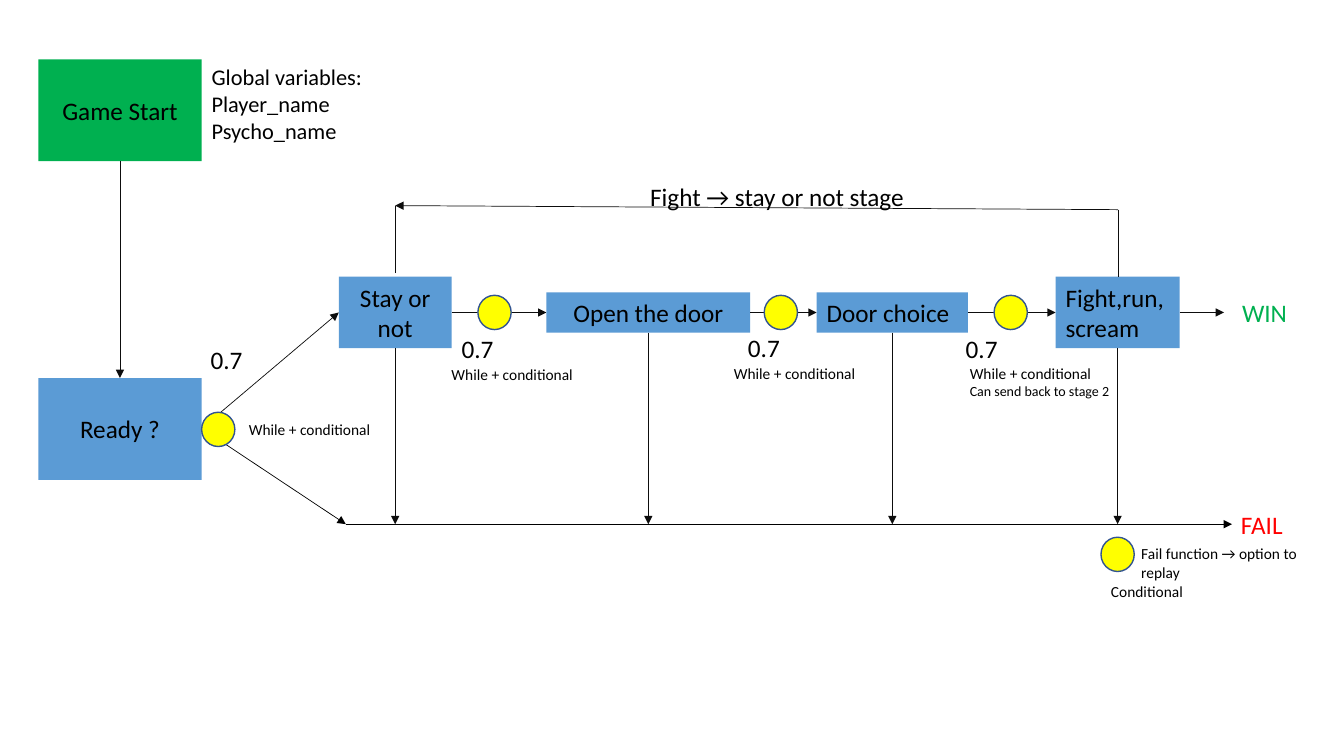
from lxml.etree import SubElement
from pptx import Presentation
from pptx.dml.color import RGBColor
from pptx.enum.shapes import MSO_CONNECTOR, MSO_SHAPE
from pptx.enum.text import MSO_ANCHOR, PP_ALIGN
from pptx.oxml.ns import qn
from pptx.util import Inches, Pt

GREEN, BLUE, YELLOW, RED = "00B050", "5B9BD5", "FFFF00", "FF0000"
BLACK, INK, NAVY = "000000", "0D0D0D", "325491"
MID, BASE = 3.1, 5.2
LEFT, CENTER = PP_ALIGN.LEFT, PP_ALIGN.CENTER

starts = [
    ("Game Start", 0.59, GREEN),
    ("Ready ?", 3.75, BLUE),
]
stages = [
    ("Stay or not", 3.36, 1.12, 0.71, CENTER),
    ("Open the door", 5.42, 2.02, 0.4, CENTER),
    ("Door choice", 8.1, 1.5, 0.4, LEFT),
    ("Fight,run,scream", 10.47, 1.23, 0.71, LEFT),
]
dots = [(2, 4.09), (4.74, 2.93), (7.58, 2.93), (9.86, 2.93), (10.92, 5.33)]
odds = [(1.99, 3.37), (4.48, 3.26), (7.32, 3.25), (9.48, 3.26)]
loops = [(2.37, 4.12), (4.38, 3.57), (7.18, 3.56)]
loop = "While + conditional"
labels = [
    (["Global variables:", "Player_name", "Psycho_name"], 2, 0.58, 1.98, 0.89, 16, BLACK),
    (["WIN"], 12.22, 2.9, 0.72, 0.4, 18, GREEN),
    (["FAIL"], 12.21, 5, 0.69, 0.4, 18, RED),
    (["Fight → stay or not stage"], 6.35, 1.75, 2.83, 0.4, 18, BLACK),
    (["Fail function → option to replay"], 11.22, 5.35, 2.11, 0.29, 11, BLACK),
    ([loop, "Can send back to stage 2"], 9.52, 3.56, 1.86, 0.47, 11, BLACK),
    (["Conditional"], 10.92, 5.73, 1.43, 0.29, 11, BLACK),
]
labels += [(["0.7"], x, y, 0.52, 0.4, 18, BLACK) for x, y in odds]
labels += [([loop], x, y, 1.43, 0.29, 11, BLACK) for x, y in loops]

deck = Presentation()
deck.slide_width, deck.slide_height = Inches(13.33), Inches(7.5)
slide = deck.slides.add_slide(deck.slide_layouts[6])
shapes = slide.shapes


def color(code):
    return RGBColor.from_string(code)


def write(frame, lines, size=18, ink=BLACK, align=LEFT, anchor=MSO_ANCHOR.TOP, wrap=True):
    frame.word_wrap = wrap
    frame.vertical_anchor = anchor
    for i, line in enumerate(lines):
        para = frame.add_paragraph() if i else frame.paragraphs[0]
        para.alignment = align
        run = para.add_run()
        run.text = line
        run.font.name = "Calibri"
        run.font.size = Pt(size)
        run.font.color.rgb = color(ink)
    return frame


def draw(kind, x, y, w, h, fill, edge=None):
    shape = shapes.add_shape(kind, Inches(x), Inches(y), Inches(w), Inches(h))
    shape.shadow.inherit = False
    shape.fill.solid()
    shape.fill.fore_color.rgb = color(fill)
    if edge:
        shape.line.color.rgb = color(edge)
        shape.line.width = Pt(1)
    else:
        shape.line.fill.background()
    return shape


def box(text, x, y, w, h, fill, align=CENTER):
    shape = draw(MSO_SHAPE.RECTANGLE, x, y, w, h, fill)
    write(shape.text_frame, [text], align=align, anchor=MSO_ANCHOR.MIDDLE)


def link(x1, y1, x2, y2, ink=INK, head=True):
    line = shapes.add_connector(
        MSO_CONNECTOR.STRAIGHT, Inches(x1), Inches(y1), Inches(x2), Inches(y2))
    line.line.color.rgb = color(ink)
    line.line.width = Pt(0.5)
    if head:
        SubElement(line.line._get_or_add_ln(), qn("a:tailEnd"), type="triangle")
    SubElement(line._element.spPr, qn("a:effectLst"))


for text, y, fill in starts:
    box(text, 0.38, y, 1.62, 1.01, fill)
link(1.19, 1.6, 1.19, 3.75)
link(2, 4.25, 3.36, MID)
link(2, 4.25, 3.43, BASE, BLACK)
link(3.43, BASE, 12.22, BASE, BLACK)

ends = [x for _, x, *_ in stages[1:]] + [12.14]
for (text, x, w, h, align), end in zip(stages, ends):
    box(text, x, MID - h / 2, w, h, BLUE, align)
    link(x + w, MID, end, MID)
    link(x + w / 2, MID + h / 2, x + w / 2, BASE)

link(11.09, 2.75, 11.09, 2.08, head=False)
link(3.92, 2.71, 3.92, 2.04, head=False)
link(11.09, 2.08, 3.92, 2.04)

for x, y in dots:
    draw(MSO_SHAPE.OVAL, x, y, 0.33, 0.34, YELLOW, NAVY)

for lines, x, y, w, h, size, ink in labels:
    area = shapes.add_textbox(Inches(x), Inches(y), Inches(w), Inches(h))
    frame = write(area.text_frame, lines, size=size, ink=ink, wrap=False)
    if lines[0] == loop and len(lines) > 1:
        frame.paragraphs[1].runs[0].font.size = Pt(10)

deck.save("out.pptx")
